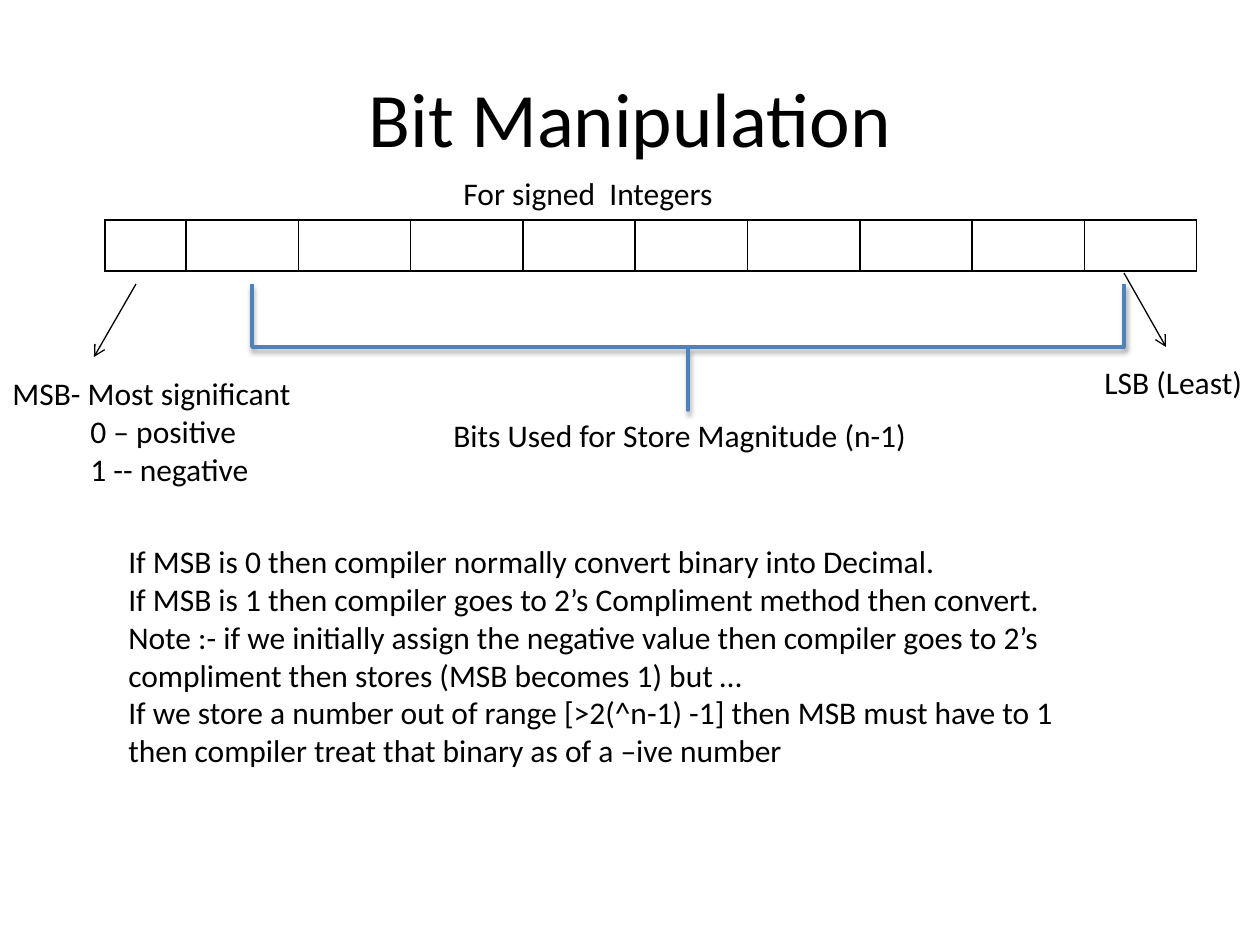
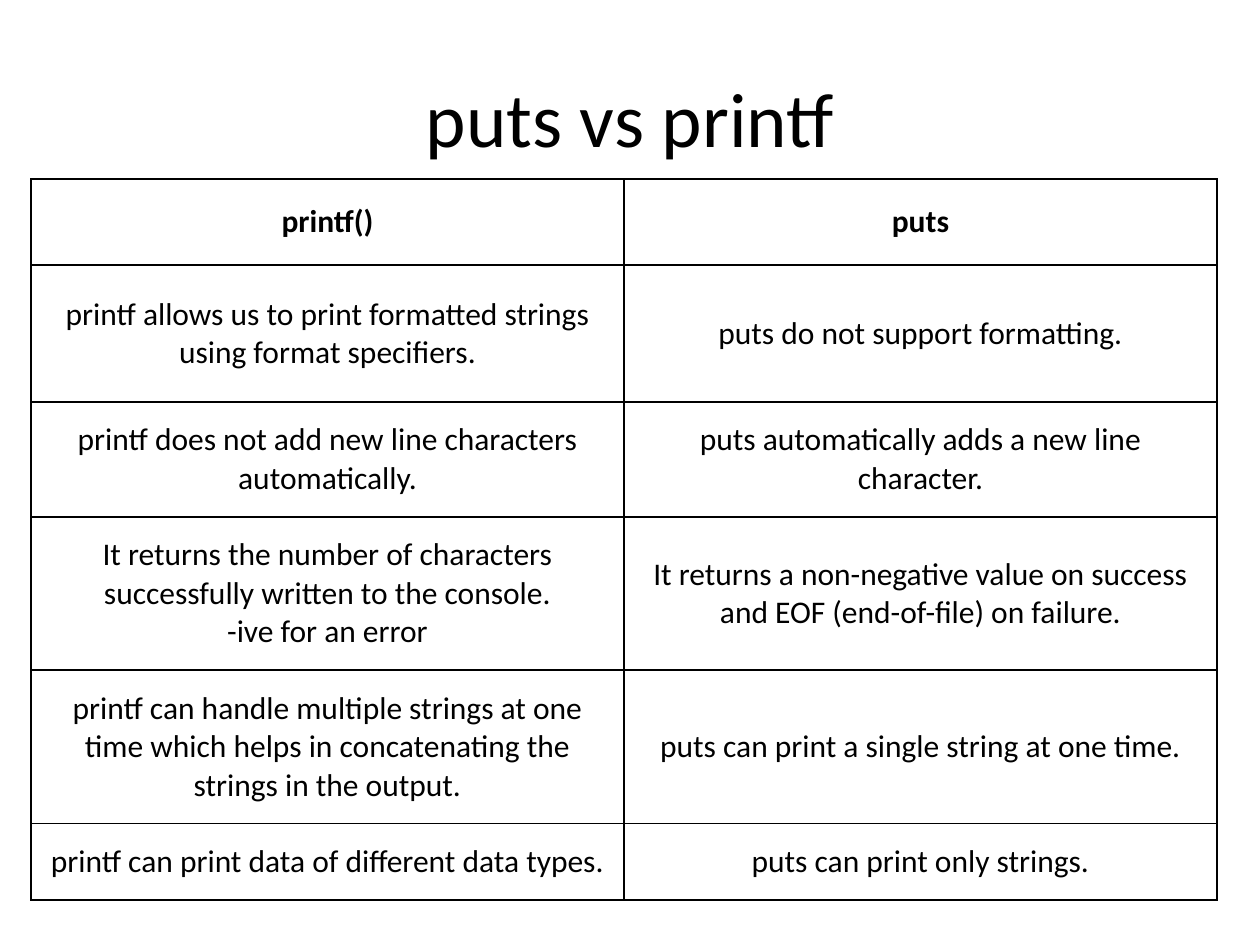
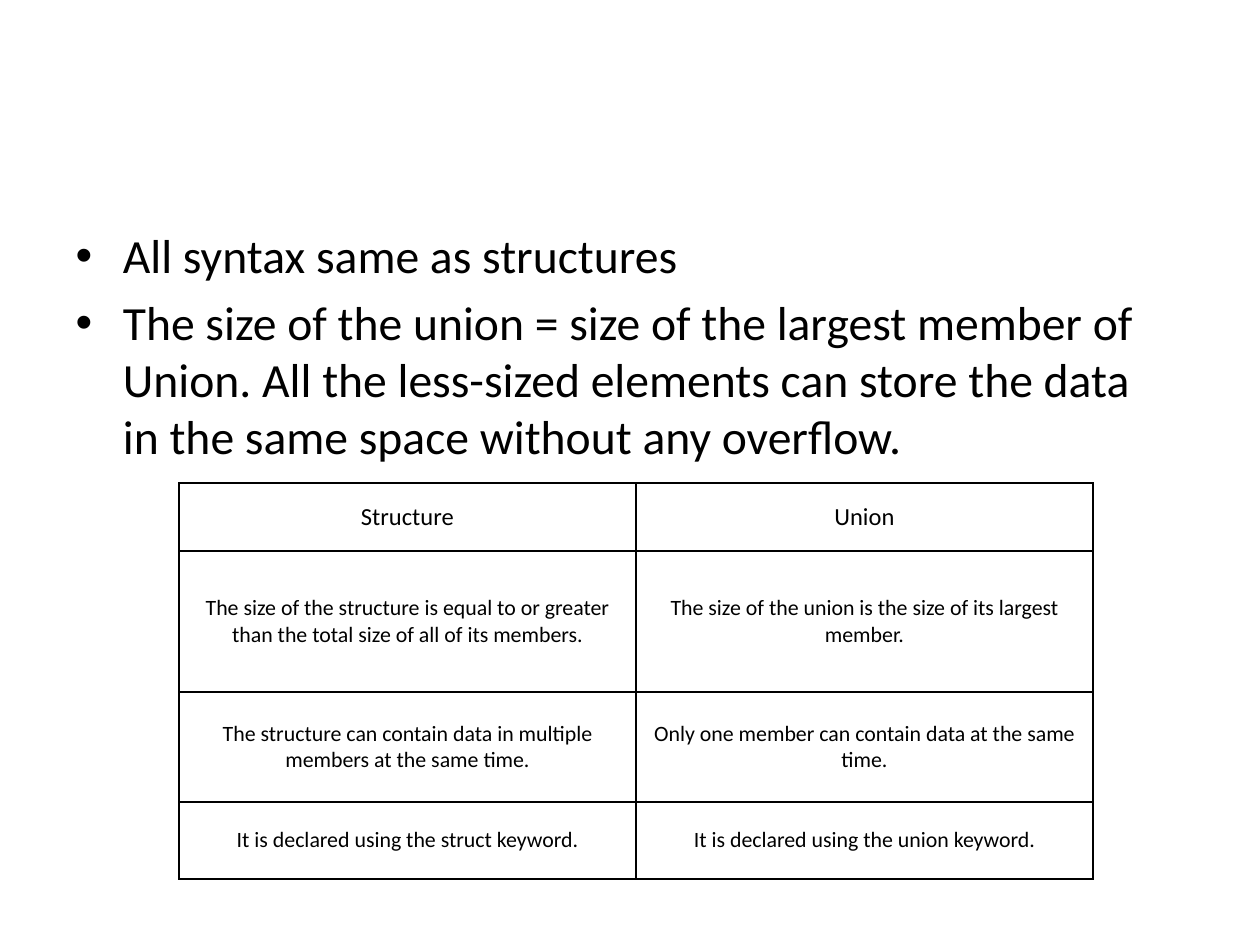
from dataclasses import dataclass

from lxml import etree
from pptx import Presentation
from pptx.dml.color import RGBColor
from pptx.enum.shapes import MSO_CONNECTOR, MSO_SHAPE
from pptx.enum.text import MSO_ANCHOR, MSO_AUTO_SIZE, PP_ALIGN
from pptx.oxml.ns import qn
from pptx.util import Emu, Pt

EMU_PER_PX = 914400 / 126
TITLE_ONLY, TITLE_AND_BODY = 5, 1


@dataclass(frozen=True)
class Theme:
    font: str = "Calibri"
    ink: str = "000000"
    accent: str = "4F81BD"
    title: float = 44
    bullet: float = 27.2
    text: float = 18
    small_header: float = 14
    small_text: float = 12.5
    grid_line: float = 1
    arrow_line: float = 0.75
    brace_line: float = 2


THEME = Theme()

PRINTF_VS_PUTS = [
    ("printf()", "puts"),
    ("printf allows us to print formatted strings using format specifiers.",
     "puts do not support formatting."),
    ("printf does not add new line characters automatically.",
     "puts automatically adds a new line character."),
    ("It returns the number of characters successfully written to the console.\n"
     "-ive for an error",
     "It returns a non-negative value on success and EOF (end-of-file) on failure."),
    ("printf can handle multiple strings at one time which helps in "
     "concatenating the strings in the output.",
     "puts can print a single string at one time."),
    ("printf can print data of different data types.",
     "puts can print only strings."),
]

STRUCTURE_VS_UNION = [
    ("Structure", "Union"),
    ("The size of the structure is equal to or greater than the total size of "
     "all of its members.",
     "The size of the union is the size of its largest member."),
    ("The structure can contain data in multiple members at the same time.",
     "Only one member can contain data at the same time."),
    ("It is declared using the struct keyword.",
     "It is declared using the union keyword."),
]

SIGN_RULES = [
    "If MSB is 0 then compiler normally convert binary into Decimal.",
    "If MSB is 1 then compiler goes to 2’s Compliment method then convert.",
    "Note :- if we initially assign the negative value then compiler goes to 2’s "
    "compliment then stores (MSB becomes 1) but …",
    "If we store a number out of range [>2(^n-1) -1] then MSB must have to 1 "
    "then compiler treat that binary as of a –ive number",
]

UNION_FACTS = [
    "All syntax same as structures",
    "The size of the union = size of the largest member of Union. All the "
    "less-sized elements can store the data in the same space without any overflow.",
]


def px(length):
    return Emu(round(length * EMU_PER_PX))


def box(*lengths):
    return [px(length) for length in lengths]


def place(shape, *at):
    shape.left, shape.top, shape.width, shape.height = box(*at)


def write(frame, lines, size, align=None, bold=False):
    """Fill a text frame with one paragraph per line."""
    for index, line in enumerate(lines):
        paragraph = frame.paragraphs[0] if index == 0 else frame.add_paragraph()
        paragraph.alignment = align
        run = paragraph.add_run()
        run.text = line
        run.font.name = THEME.font
        run.font.size = Pt(size)
        run.font.bold = bold
        run.font.color.rgb = RGBColor.from_string(THEME.ink)


def add_titled_slide(deck, title):
    slide = deck.slides.add_slide(deck.slide_layouts[TITLE_ONLY])
    place(slide.shapes.title, 63, 38, 1134, 157)
    write(slide.shapes.title.text_frame, [title], THEME.title, PP_ALIGN.CENTER)
    return slide


def add_note(slide, at, *lines):
    frame = slide.shapes.add_textbox(*box(*at)).text_frame
    frame.word_wrap = True
    frame.auto_size = MSO_AUTO_SIZE.SHAPE_TO_FIT_TEXT
    write(frame, lines, THEME.text)
    return frame


def add_arrow(slide, *ends):
    arrow = slide.shapes.add_connector(MSO_CONNECTOR.STRAIGHT, *box(*ends))
    arrow.line.color.rgb = RGBColor.from_string(THEME.ink)
    arrow.line.width = Pt(THEME.arrow_line)
    properties = arrow._element.spPr
    etree.SubElement(properties.find(qn("a:ln")), qn("a:tailEnd"), type="arrow")
    etree.SubElement(properties, qn("a:effectLst"))


def add_bottom_brace(slide, *at):
    """Add a square brace that opens upwards; at is its frame before turning."""
    brace = slide.shapes.add_shape(MSO_SHAPE.LEFT_BRACE, *box(*at))
    brace.rotation = 270
    brace.adjustments[0] = 0
    brace.adjustments[1] = 0.5
    brace.fill.background()
    brace.line.color.rgb = RGBColor.from_string(THEME.accent)
    brace.line.width = Pt(THEME.brace_line)
    brace.shadow.inherit = False
    effects = brace._element.spPr.find(qn("a:effectLst"))
    shadow = etree.SubElement(effects, qn("a:outerShdw"), blurRad="40000",
                              dist="20000", dir="5400000", rotWithShape="0")
    color = etree.SubElement(shadow, qn("a:srgbClr"), val=THEME.ink)
    etree.SubElement(color, qn("a:alpha"), val="38000")


def outline_cell(cell):
    cell.fill.background()
    properties = cell._tc.get_or_add_tcPr()
    for position, side in enumerate(("lnL", "lnR", "lnT", "lnB")):
        line = etree.Element(qn(f"a:{side}"), w=str(Pt(THEME.grid_line)))
        fill = etree.SubElement(line, qn("a:solidFill"))
        etree.SubElement(fill, qn("a:srgbClr"), val=THEME.ink)
        properties.insert(position, line)


def add_grid(slide, left, top, widths, heights):
    table = slide.shapes.add_table(
        len(heights), len(widths),
        *box(left, top, sum(widths), sum(heights))).table
    table.first_row = table.horz_banding = False
    for column, width in zip(table.columns, widths):
        column.width = px(width)
    for row, height in zip(table.rows, heights):
        row.height = px(height)
    for cell in table.iter_cells():
        outline_cell(cell)
    return table


def add_comparison(slide, left, top, column_width, heights, rows,
                   header_size, text_size, bold_header):
    table = add_grid(slide, left, top, [column_width] * 2, heights)
    for row_index, row in enumerate(rows):
        header = row_index == 0
        for column_index, text in enumerate(row):
            cell = table.cell(row_index, column_index)
            cell.vertical_anchor = MSO_ANCHOR.MIDDLE
            cell.margin_left = cell.margin_right = px(13)
            cell.margin_top = cell.margin_bottom = px(13 if header else 19)
            write(cell.text_frame, text.split("\n"),
                  header_size if header else text_size,
                  PP_ALIGN.CENTER, header and bold_header)


def add_bit_slide(deck):
    slide = add_titled_slide(deck, "Bit Manipulation")
    sign_width, magnitude_width = 81, 1011 / 9
    add_grid(slide, 105, 220, [sign_width] + [magnitude_width] * 9, [51])
    add_arrow(slide, 136, 284, 94, 357)
    sign_note = add_note(slide, (0, 368, 306, 127), "MSB- Most significant",
                         "0 – positive", "1 -- negative")
    for sign_value in sign_note.paragraphs[1:]:
        sign_value._p.get_or_add_pPr().set("marL", str(px(78)))
    add_note(slide, (451, 168, 651, 50), "For signed  Integers")
    add_arrow(slide, 1124, 273, 1166, 347)
    add_note(slide, (1092, 357, 168, 50), "LSB (Least)")
    add_bottom_brace(slide, 625, -89, 126, 872)
    add_note(slide, (441, 410, 630, 50), "Bits Used for Store Magnitude (n-1)")
    add_note(slide, (116, 536, 1008, 242), *SIGN_RULES)


def add_output_slide(deck):
    slide = add_titled_slide(deck, "puts vs printf")
    add_comparison(slide, 31, 179, 593, [86, 137, 110, 137, 146, 72],
                   PRINTF_VS_PUTS, THEME.text, THEME.text, True)


def add_union_slide(deck):
    slide = deck.slides.add_slide(deck.slide_layouts[TITLE_AND_BODY])
    empty_title = slide.shapes.title._element
    empty_title.getparent().remove(empty_title)
    facts = slide.placeholders[1]
    place(facts, 63, 220, 1124, 262)
    facts.text_frame.auto_size = MSO_AUTO_SIZE.NONE
    write(facts.text_frame, UNION_FACTS, THEME.bullet)
    add_comparison(slide, 179, 483, 457, [68, 141, 110, 77],
                   STRUCTURE_VS_UNION, THEME.small_header, THEME.small_text, False)


def main():
    deck = Presentation()
    deck.slide_width, deck.slide_height = box(1260, 945)
    add_bit_slide(deck)
    add_output_slide(deck)
    add_union_slide(deck)
    deck.save("out.pptx")


if __name__ == "__main__":
    main()
